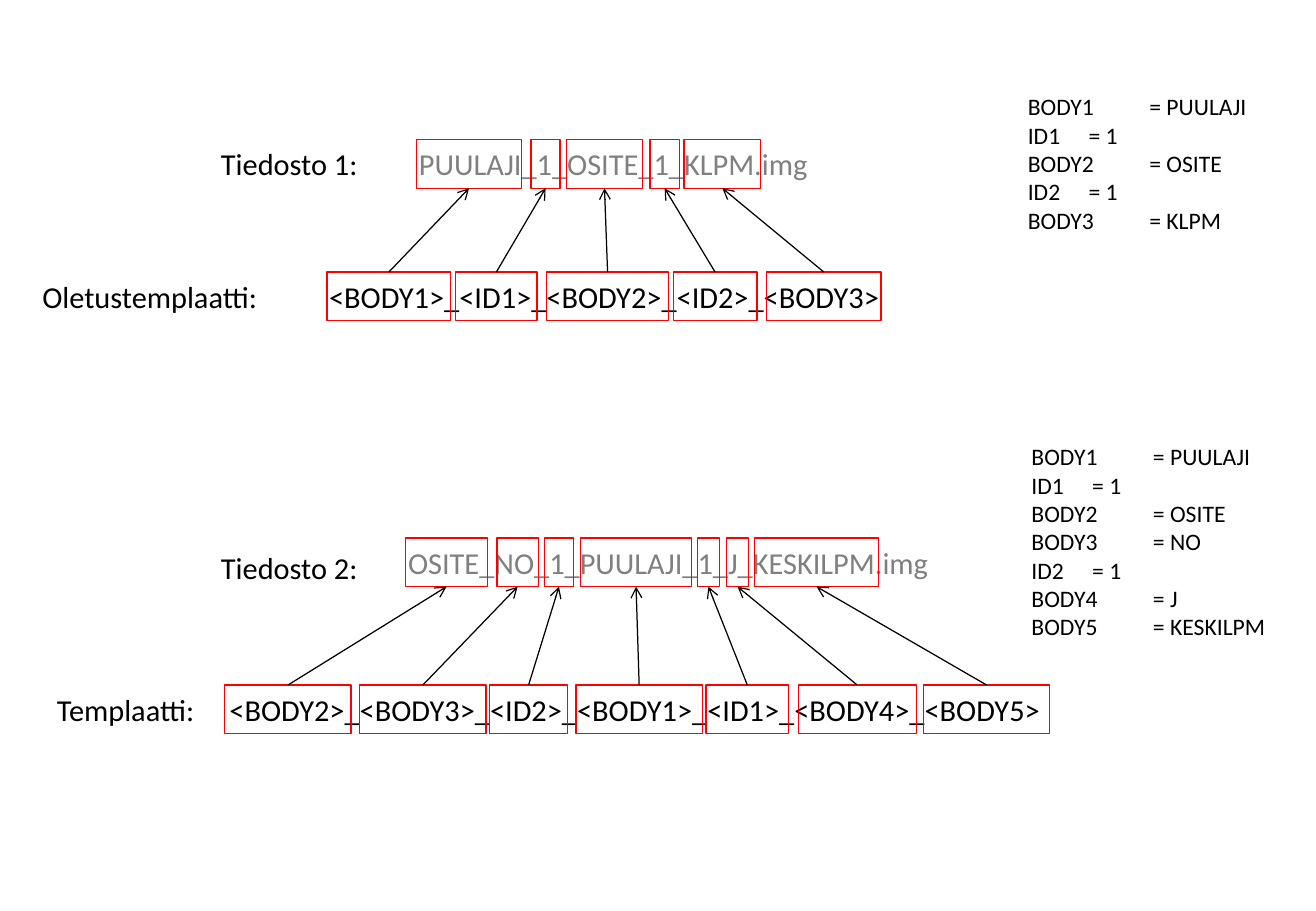
from lxml.etree import SubElement
from pptx import Presentation
from pptx.dml.color import RGBColor
from pptx.enum.shapes import MSO_CONNECTOR as Link, MSO_SHAPE as Form
from pptx.enum.text import MSO_AUTO_SIZE as Fit
from pptx.oxml.ns import qn
from pptx.util import Inches, Pt

# Grid: a column and a row are both a tenth of an inch
UNIT = Inches(0.1)
COLS, ROWS = 108.3, 75
TALL = 4  # rows in a line of text and its frames
BLACK, GREY, RED = "000000", "808080", "FF0000"


def grid(*cells):
    return [round(cell * UNIT) for cell in cells]


def paint(code):
    return RGBColor.from_string(code)


def write(slide, box, text, size=18, color=BLACK, wrap=False):
    frame = slide.shapes.add_textbox(*grid(*box)).text_frame
    frame.text = text
    frame.word_wrap = wrap
    frame.auto_size = Fit.SHAPE_TO_FIT_TEXT
    style = {"name": "Calibri", "size": Pt(size)}
    for para in frame.paragraphs:
        for key, value in style.items():
            setattr(para.font, key, value)
        para.font.color.rgb = paint(color)


def outline(slide, box):
    shape = slide.shapes.add_shape(Form.RECTANGLE, *grid(*box))
    shape.shadow.inherit = False
    shape.fill.background()
    shape.line.color.rgb = paint(RED)
    shape.line.width = Pt(0.75)


def arrow(slide, start, end):
    link = slide.shapes.add_connector(Link.STRAIGHT, *grid(*start, *end))
    link.line.color.rgb = paint(BLACK)
    link.line.width = Pt(0.75)
    SubElement(link.line._get_or_add_ln(), qn("a:tailEnd"), type="arrow")
    SubElement(link._element.spPr, qn("a:effectLst"))


def scheme(slide, box, file, model):
    """File name along the top of the box, template along its bottom."""
    left, top, wide, high = box
    base = top + high - TALL

    # Labels, names and frames of both lines
    for y, part in ((top, file), (base, model)):
        text, x, w, drop = part["label"]
        write(slide, (left + x, y + drop, w, TALL), text)
        text, x, w = part["name"]
        write(slide, (left + x, y, w, TALL), text,
              color=part["color"], wrap=part is file)
        for x, w in part["frames"]:
            outline(slide, (left + x, y, w, TALL))

    # Each template field points to the file part in the same place
    for (x, w), (to, span) in zip(model["frames"], file["frames"]):
        arrow(slide, (left + x + w / 2, base),
              (left + to + span / 2, top + TALL))


def legend(slide, box, pairs):
    lines = [f"{field}\t= {value}" for field, value in pairs]
    write(slide, box, "\n".join(lines), size=14)


deck = Presentation()
deck.slide_width, deck.slide_height = grid(COLS, ROWS)
page = deck.slides.add_slide(deck.slide_layouts[6])

# First file with the default template
scheme(
    page, (2.5, 11.5, 70, 14.9),
    {"label": ("Tiedosto 1:", 14.7, 13.4, 0), "color": GREY,
     "name": ("PUULAJI_1_OSITE_1_KLPM.img", 31, 34.3),
     "frames": [(31.8, 8.6), (41.2, 2.4), (44.1, 6.3), (51, 2.4),
                (53.8, 6.3)]},
    {"label": ("Oletustemplaatti:", 0, 19.9, 0), "color": BLACK,
     "name": ("<BODY1>_<ID1>_<BODY2>_<ID2>_<BODY3>", 23.6, 47.8),
     "frames": [(24.4, 10.2), (35, 6.7), (42.5, 10), (52.9, 6.9),
                (60.6, 9.4)]})
legend(page, (83.6, 7.1, 20.2, 12.8), [
    ("BODY1", "PUULAJI"), ("ID1", "1"), ("BODY2", "OSITE"),
    ("ID2", "1"), ("BODY3", "KLPM")])

# Second file with its own template
scheme(
    page, (3.7, 44.3, 84, 16.1),
    {"label": ("Tiedosto 2:", 13.5, 13.4, 0.4), "color": GREY,
     "name": ("OSITE_NO_1_PUULAJI_1_J_KESKILPM.img", 28.9, 55.6),
     "frames": [(29.7, 6.7), (37.2, 3.4), (41.1, 2.4), (44.1, 9.1),
                (53.7, 1.8), (56.1, 1.8), (58.4, 10.2)]},
    {"label": ("Templaatti:", 0, 13.5, 0), "color": BLACK,
     "name": ("<BODY2>_<BODY3>_<ID2>_<BODY1>_<ID1>_<BODY4>_<BODY5>",
              14.2, 69.5),
     "frames": [(14.8, 10.4), (25.9, 10.4), (36.6, 6.4), (43.7, 10.4),
                (54.4, 6.8), (62, 9.7), (72.3, 10.4)]})
legend(page, (83.9, 35.9, 21.4, 17.5), [
    ("BODY1", "PUULAJI"), ("ID1", "1"), ("BODY2", "OSITE"),
    ("BODY3", "NO"), ("ID2", "1"), ("BODY4", "J"),
    ("BODY5", "KESKILPM")])

deck.save("out.pptx")
